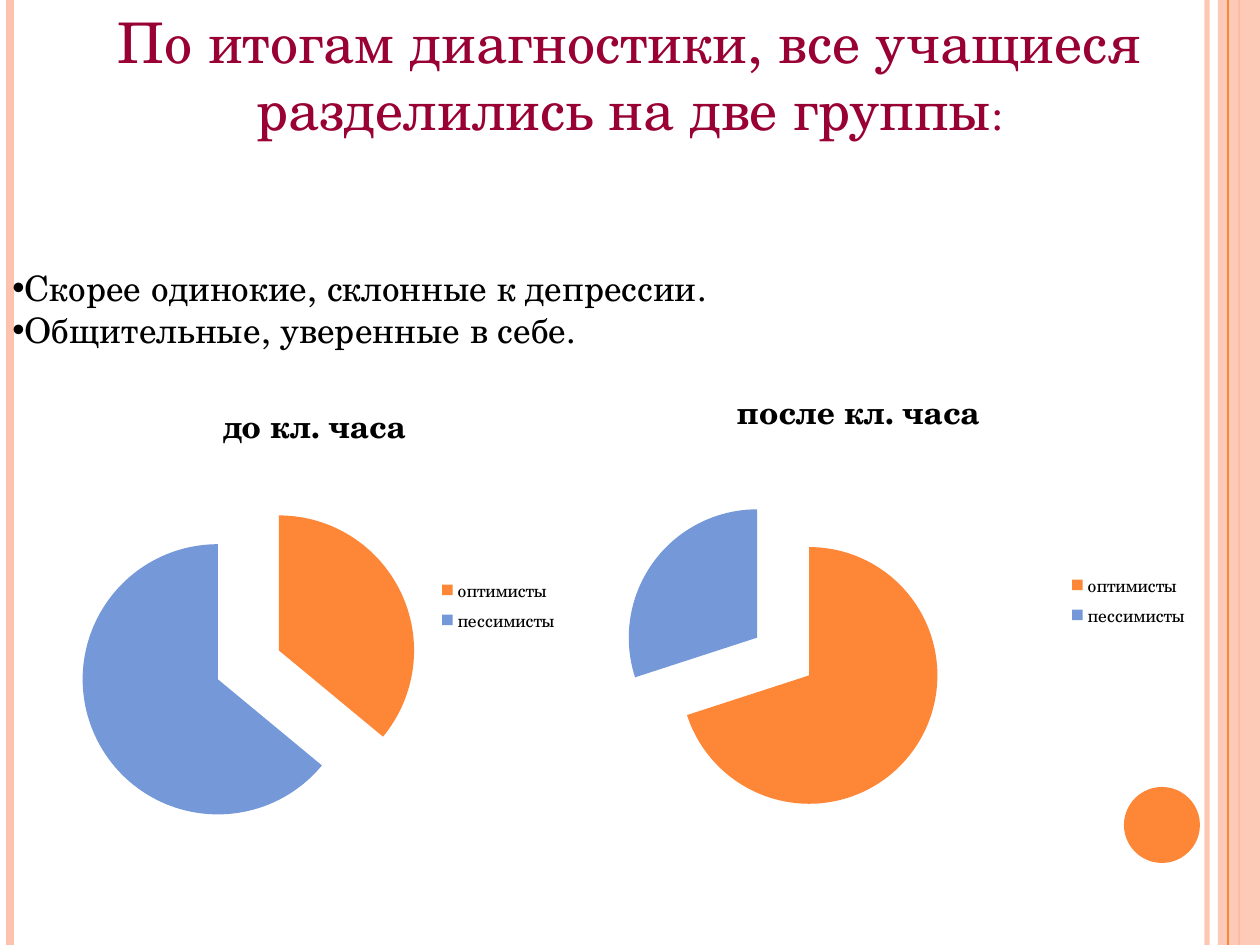
from lxml import etree
from pptx import Presentation, util as u
from pptx.chart import data
from pptx.dml import color
from pptx.enum import chart as ch, shapes, text
from pptx.oxml import ns

PX = 914400 / 126
FONT = "TeX Gyre Schola"
HUES = {"peach": "FEC3AE", "orange": "FE8637", "blue": "7598D9",
        "wine": "990033", "black": "000000"}


def px(n):
    return u.Emu(round(n * PX))


def rgb(name):
    return color.RGBColor.from_string(HUES[name])


def sub(node, tag, **attrs):
    return etree.SubElement(node, ns.qn(tag), attrs)


def style(font, size, hue="black", bold=False):
    font.name = FONT
    font.size = u.Pt(size)
    font.bold = bold
    font.color.rgb = rgb(hue)


def write(par, words, size, hue="black", bold=False, align=None, gap=0, bullet=None):
    par.alignment = align
    if gap:
        par.space_before = u.Pt(gap)
    if bullet:
        props = par._p.get_or_add_pPr()
        props.set("marL", "0")
        props.set("indent", "0")
        sub(props, "a:buFont", typeface="Arial")
        sub(props, "a:buChar", char=bullet)
    run = par.add_run()
    run.text = words
    style(run.font, size, hue, bold)


def fade(fill, part):
    node = fill._xPr.find(".//" + ns.qn("a:srgbClr"))
    sub(node, "a:alpha", val=str(part * 1000))


def place(node, x, y, w=None, h=None):
    old = node.find(ns.qn("c:layout"))
    if old is None:
        old = etree.Element(ns.qn("c:layout"))
        node.find(ns.qn("c:tx")).addnext(old)
    for kid in list(old):
        old.remove(kid)
    box = sub(old, "c:manualLayout")
    if w:
        sub(box, "c:layoutTarget", val="inner")
    sub(box, "c:xMode", val="edge")
    sub(box, "c:yMode", val="edge")
    for tag, val in zip("xywh", (x, y, w, h)):
        if val is not None:
            sub(box, "c:" + tag, val=str(val))


class Page:
    def __init__(self, deck):
        self.slide = deck.slides.add_slide(deck.slide_layouts[6])
        self.items = self.slide.shapes

    def rule(self, x, width, hue, part=None):
        line = self.items.add_connector(
            shapes.MSO_CONNECTOR.STRAIGHT, px(x), 0, px(x), px(945))
        line.line.width = u.Pt(width)
        line.line.color.rgb = rgb(hue)
        if part:
            fade(line.line.fill, part)
        sub(line._element.spPr, "a:effectLst")

    def shape(self, kind, x, y, w, h, hue, part=None):
        item = self.items.add_shape(kind, px(x), px(y), px(w), px(h))
        item.shadow.inherit = False
        item.fill.solid()
        item.fill.fore_color.rgb = rgb(hue)
        item.line.fill.background()
        if part:
            fade(item.fill, part)

    def text(self, x, y, w, h):
        frame = self.items.add_textbox(px(x), px(y), px(w), px(h)).text_frame
        frame.word_wrap = True
        frame.vertical_anchor = text.MSO_ANCHOR.MIDDLE
        return frame

    def pie(self, x, y, w, h, title, name, vals, spot, plot=None):
        info = data.CategoryChartData()
        info.categories = ["оптимисты", "пессимисты"]
        info.add_series(name, vals)
        chart = self.items.add_chart(
            ch.XL_CHART_TYPE.PIE, px(x), px(y), px(w), px(h), info).chart
        style(chart.font, 10)
        chart.has_title = True
        head = chart.chart_title
        write(head.text_frame.paragraphs[0], title, 18, bold=True)
        head.include_in_layout = True
        place(head._element, *spot)
        chart.has_legend = True
        chart.legend.position = ch.XL_LEGEND_POSITION.RIGHT
        chart.legend.include_in_layout = False
        pie = chart.plots[0]
        pie.vary_by_categories = True
        row = pie.series[0]
        burst = etree.Element(ns.qn("c:explosion"), val="25")
        row._element.find(ns.qn("c:tx")).addnext(burst)
        for i, hue in enumerate(("orange", "blue")):
            fill = row.points[i].format.fill
            fill.solid()
            fill.fore_color.rgb = rgb(hue)
        if plot:
            area = chart._chartSpace.chart.plotArea
            if area.find(ns.qn("c:layout")) is None:
                area.insert(0, etree.Element(ns.qn("c:layout")))
            place(area, *plot)


def main():
    deck = Presentation()
    deck.slide_width, deck.slide_height = px(1260), px(945)
    page = Page(deck)

    page.rule(1207, 3, "peach", 93)
    page.rule(10, 4.5, "peach")
    page.rule(1239, 1.5, "orange")
    page.shape(shapes.MSO_SHAPE.RECTANGLE, 1218, 0, 42, 945, "peach", 87)
    page.rule(1228, 0.75, "orange")
    page.shape(shapes.MSO_SHAPE.OVAL, 1124, 787, 76, 76, "orange")

    page.pie(59, 374, 512, 462, "до кл. часа", "до кл. часа", (36, 64),
             (0.31, 0.04), (0.04, 0.26, 0.66, 0.74))
    page.pie(591, 364, 610, 472, "после кл. часа", "Series 1", (70, 30),
             (0.23, 0.03), (0.04, 0.28, 0.55, 0.68))

    frame = page.text(0, 0, 1260, 358)
    head = frame.paragraphs[0]
    mid = text.PP_ALIGN.CENTER
    write(head, "По итогам диагностики, все учащиеся разделились на две группы",
          32, "wine", align=mid)
    write(head, ":", 24, "wine", align=mid)
    for words, gap in (("Скорее одинокие, склонные к депрессии.", 71),
                       ("Общительные, уверенные в себе.", 0)):
        write(frame.add_paragraph(), words, 20, gap=gap, bullet="•")

    deck.save("out.pptx")


if __name__ == "__main__":
    main()
